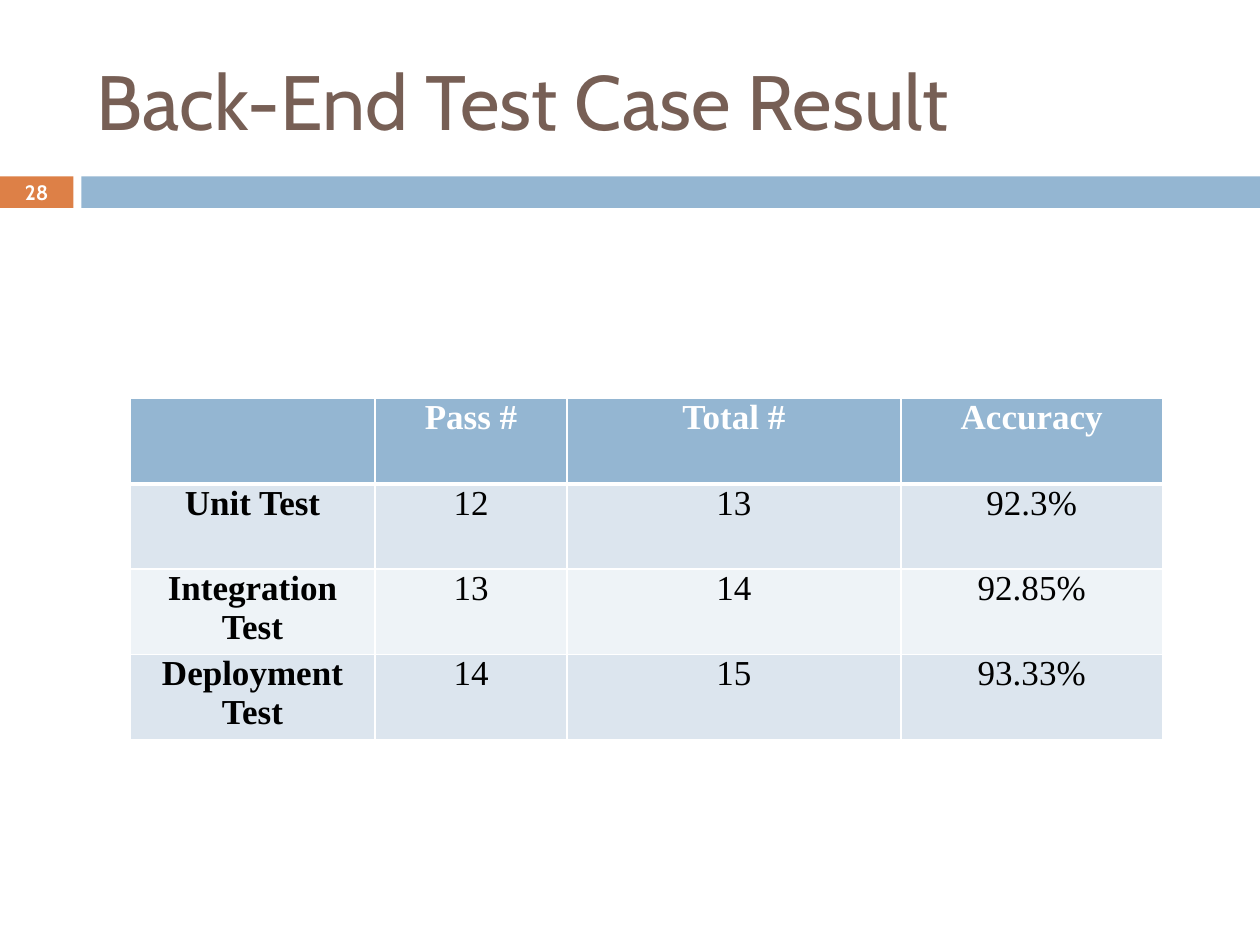
from lxml.etree import SubElement
from pptx import Presentation
from pptx.dml.color import RGBColor
from pptx.enum.shapes import MSO_SHAPE
from pptx.enum.text import MSO_ANCHOR, PP_ALIGN
from pptx.oxml.ns import qn
from pptx.util import Pt

BLUE = RGBColor(0x94, 0xB6, 0xD2)
ORANGE = RGBColor(0xDD, 0x80, 0x47)
BROWN = RGBColor(0x77, 0x5F, 0x55)
WHITE = RGBColor(0xFF, 0xFF, 0xFF)
BLACK = RGBColor(0, 0, 0)
BANDS = [RGBColor(0xEE, 0xF3, 0xF7), RGBColor(0xDC, 0xE5, 0xEE)]


def write(frame, text, size, color, font="Cabin", bold=False, align=PP_ALIGN.CENTER):
    frame.word_wrap = True
    para = frame.paragraphs[0]
    para.alignment = align
    run = para.add_run()
    run.text = text
    run.font.name = font
    run.font.size = Pt(size)
    run.font.bold = bold
    run.font.color.rgb = color


def edge(cell, side, width):
    """Draw a white border on one side; call before the cell gets its fill."""
    line = SubElement(cell._tc.get_or_add_tcPr(), qn(f"a:ln{side}"), w=str(Pt(width)))
    fill = SubElement(line, qn("a:solidFill"))
    SubElement(fill, qn("a:srgbClr"), val=str(WHITE))


deck = Presentation()
deck.slide_width, deck.slide_height = Pt(720), Pt(540)
slide = deck.slides.add_slide(deck.slide_layouts[6])
shapes = slide.shapes

for left, width, color in [(0, 42, ORANGE), (46.5, 673.5, BLUE)]:
    bar = shapes.add_shape(MSO_SHAPE.RECTANGLE, Pt(left), Pt(100.8), Pt(width), Pt(18))
    bar.shadow.inherit = False
    bar.fill.solid()
    bar.fill.fore_color.rgb = color
    bar.line.fill.background()

title = shapes.add_textbox(Pt(48), Pt(18), Pt(642), Pt(78)).text_frame
title.vertical_anchor = MSO_ANCHOR.MIDDLE
write(title, "Back-End Test Case Result", 44, BROWN, align=PP_ALIGN.LEFT)

number = shapes.add_textbox(0, Pt(100), Pt(42), Pt(19.5)).text_frame
number.vertical_anchor = MSO_ANCHOR.MIDDLE
number.margin_top = number.margin_bottom = 0
write(number, "28", 11.9, WHITE, bold=True)

ROWS = [
    ["", "Pass #", "Total #", "Accuracy"],
    ["Unit Test", "12", "13", "92.3%"],
    ["Integration Test", "13", "14", "92.85%"],
    ["Deployment Test", "14", "15", "93.33%"],
]
WIDTHS = [140.2, 109.6, 190.8, 149.6]
HIGH = 48.75

grid = shapes.add_table(
    len(ROWS), len(WIDTHS), Pt(74.2), Pt(227.8), Pt(sum(WIDTHS)), Pt(HIGH * len(ROWS))
).table
for col, width in zip(grid.columns, WIDTHS):
    col.width = Pt(width)

for i, row in enumerate(ROWS):
    head = i == 0
    grid.rows[i].height = Pt(HIGH)
    for j, text in enumerate(row):
        cell = grid.cell(i, j)
        cell.margin_left = cell.margin_right = Pt(5)
        cell.margin_top = cell.margin_bottom = 0
        for side in "LRTB":
            thick = (head and side == "B") or (i == 1 and side == "T")
            edge(cell, side, 3 if thick else 1)
        cell.fill.solid()
        cell.fill.fore_color.rgb = BLUE if head else BANDS[i % 2]
        if text:
            write(cell.text_frame, text, 20, WHITE if head else BLACK,
                  font="Times New Roman", bold=head or j == 0)

deck.save("out.pptx")
